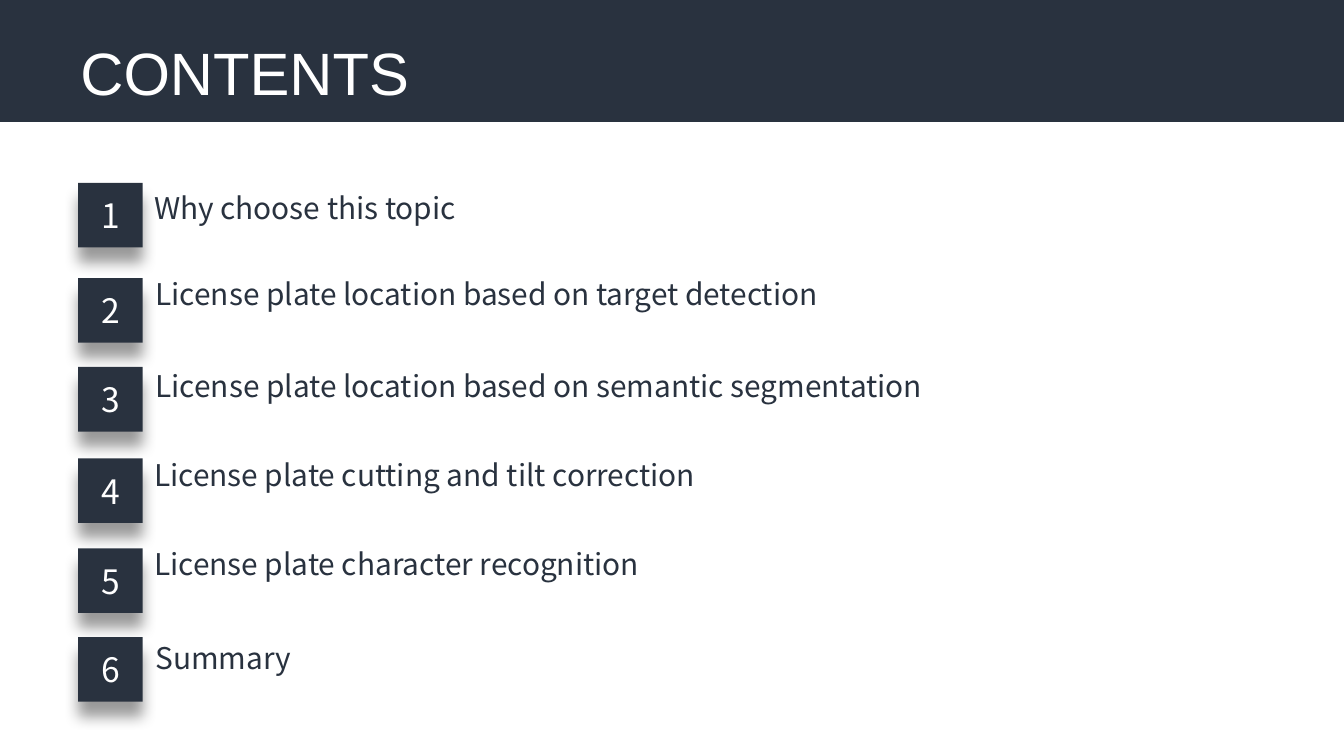
from lxml.etree import SubElement
from pptx import Presentation
from pptx.dml.color import RGBColor
from pptx.enum.shapes import MSO_SHAPE
from pptx.enum.text import MSO_ANCHOR, MSO_AUTO_SIZE, PP_ALIGN
from pptx.oxml.ns import qn
from pptx.util import Pt

COLORS = {"navy": "29323F", "white": "FFFFFF", "shadow": "000000"}
BODY_FONT = "Noto Sans CJK SC"
BADGE_LEFT, BADGE_SIZE = 41.8, 34.6

# Topic, badge top, and left, top and width of its text
TOPICS = [
    ("Why choose this topic", 97.9, 75.6, 97.9, 185.8),
    ("License plate location based on target detection", 149, 76.3, 144, 386.6),
    ("License plate location based on semantic segmentation", 196.6, 76.3, 193.7, 442.8),
    ("License plate cutting and tilt correction", 245.5, 75.6, 241.2, 316.8),
    ("License plate character recognition", 293.8, 75.6, 288.7, 284.4),
    ("Summary", 341.3, 76.3, 339.1, 88.6),
]


def rgb(name):
    return RGBColor.from_string(COLORS[name])


def add_run(p, text, size, color, font=BODY_FONT):
    r = p.add_run()
    r.text = text
    r.font.size = Pt(size)
    r.font.name = font
    r.font.color.rgb = rgb(color)


def add_rect(s, left, top, width, height):
    sp = s.shapes.add_shape(MSO_SHAPE.RECTANGLE, Pt(left), Pt(top), Pt(width), Pt(height))
    sp.fill.solid()
    sp.fill.fore_color.rgb = rgb("navy")
    sp.line.fill.background()
    sp.shadow.inherit = False
    return sp


def add_drop_shadow(sp):
    effects = sp._element.spPr.find(qn("a:effectLst"))
    shadow = SubElement(effects, qn("a:outerShdw"), blurRad=str(Pt(8)), dist=str(Pt(8)),
                        dir="5400000", algn="t", rotWithShape="0")
    color = SubElement(shadow, qn("a:srgbClr"), val=COLORS["shadow"])
    SubElement(color, qn("a:alpha"), val="40000")


def add_badge(s, number, top):
    sp = add_rect(s, BADGE_LEFT, top, BADGE_SIZE, BADGE_SIZE)
    add_drop_shadow(sp)
    tf = sp.text_frame
    tf.vertical_anchor = MSO_ANCHOR.MIDDLE
    p = tf.paragraphs[0]
    p.alignment = PP_ALIGN.CENTER
    add_run(p, str(number), 18, "white")


def add_text(s, text, left, top, width, height, size, color, font=BODY_FONT, wrap=False):
    tf = s.shapes.add_textbox(Pt(left), Pt(top), Pt(width), Pt(height)).text_frame
    tf.word_wrap = wrap
    tf.auto_size = MSO_AUTO_SIZE.SHAPE_TO_FIT_TEXT
    add_run(tf.paragraphs[0], text, size, color, font)


def main():
    prs = Presentation()
    prs.slide_width, prs.slide_height = Pt(720), Pt(405)
    s = prs.slides.add_slide(prs.slide_layouts[6])

    # Title band
    add_rect(s, 0, 0, 720, 65.3)
    add_text(s, "CONTENTS", 36, 15.8, 288, 46, 32, "white", "Arial", wrap=True)

    # Numbered topics
    for number, (topic, badge_top, left, top, width) in enumerate(TOPICS, 1):
        add_text(s, topic, left, top, width, 26.6, 16, "navy")
        add_badge(s, number, badge_top)

    prs.save("out.pptx")


if __name__ == "__main__":
    main()
